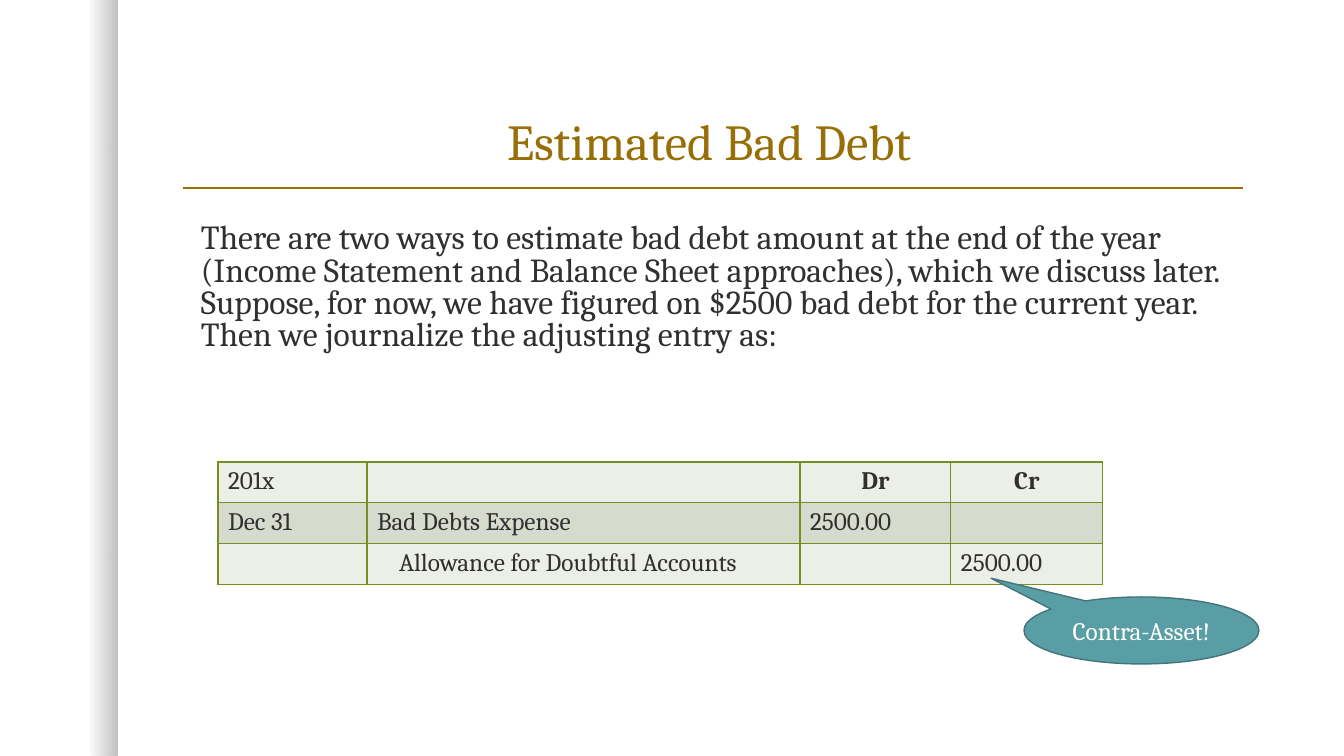
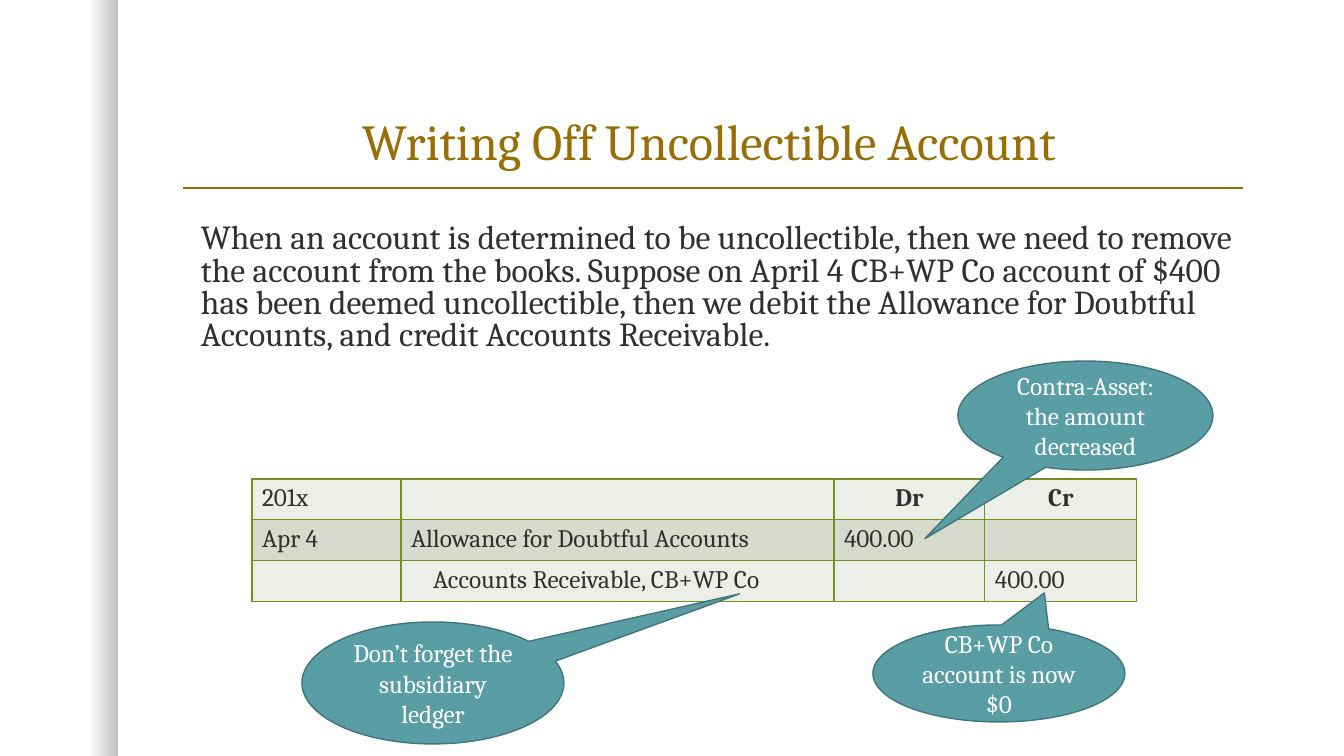
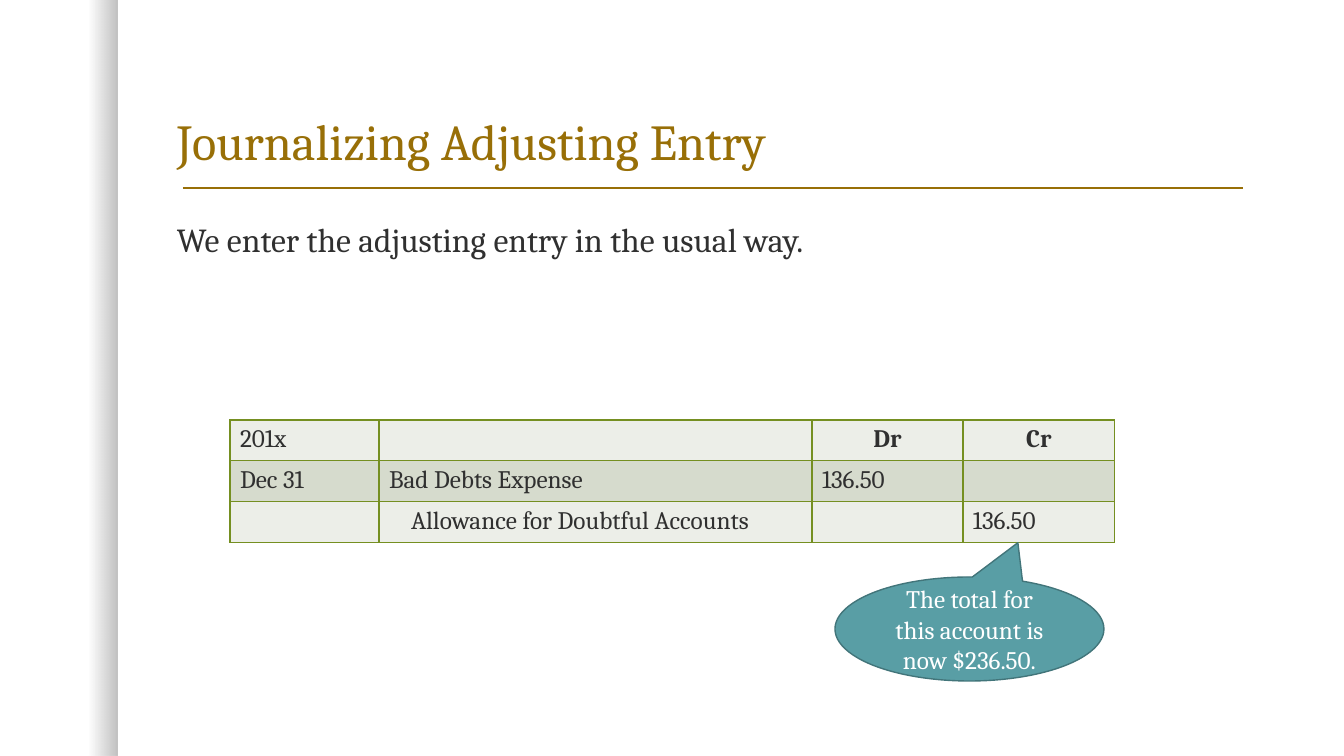
"""Build three slides on journal entries for bad debts."""
from dataclasses import dataclass

from lxml import etree
from pptx import Presentation
from pptx import util as u
from pptx.dml.color import RGBColor
from pptx.enum import shapes, text
from pptx.oxml import ns


@dataclass(frozen=True)
class Theme:
    font: str = "Cambria"
    gold: str = "986F07"
    ink: str = "303030"
    white: str = "FFFFFF"
    black: str = "000000"
    border: str = "758F21"
    row_fills: tuple = ("ECEEE8", "D6DBCD", "ECEEE8")
    bubble: str = "599EA5"
    bubble_line: str = "42757A"
    title_size: int = 36
    body_size: int = 24
    small_size: int = 18


theme = Theme()
color = RGBColor.from_string
PX = 914400 / 100.8
LEFT, CENTER = text.PP_ALIGN.LEFT, text.PP_ALIGN.CENTER
INDENT = 24
COLUMNS = (149, 433, 151, 152)
ROWS = (40, 41, 41)


def px(*lengths):
    return [u.Emu(round(length * PX)) for length in lengths]


def write(frame, words, size, tint, align=LEFT, bold=False, spacing=None):
    frame.word_wrap = True
    paragraph = frame.paragraphs[0]
    paragraph.alignment = align
    paragraph.line_spacing = spacing
    run = paragraph.add_run()
    run.text = words
    run.font.name = theme.font
    run.font.size = u.Pt(size)
    run.font.bold = bold
    run.font.color.rgb = color(tint)
    return paragraph


pages = [
    dict(
        title="Estimated Bad Debt", title_align=CENTER,
        body="There are two ways to estimate bad debt amount at the end of the year "
             "(Income Statement and Balance Sheet approaches), which we discuss later. "
             "Suppose, for now, we have figured on $2500 bad debt for the current year. "
             "Then we journalize the adjusting entry as:",
        first_indent=0, spacing=0.8, table_at=(218, 462),
        date="Dec 31", debit="Bad Debts Expense",
        credit="Allowance for Doubtful Accounts", amount="2500.00",
        callouts=[("Contra-Asset!", (1024, 597, 235, 67), (-0.64, -0.78))],
    ),
    dict(
        title="Writing Off Uncollectible Account", title_align=CENTER,
        body="When an account is determined to be uncollectible, then we need to remove "
             "the account from the books. Suppose on April 4 CB+WP Co account of $400 "
             "has been deemed uncollectible, then we debit the Allowance for Doubtful "
             "Accounts, and credit Accounts Receivable.",
        first_indent=0, spacing=0.8, table_at=(252, 479),
        date="Apr 4", debit="Allowance for Doubtful Accounts",
        credit="Accounts Receivable, CB+WP Co", amount="400.00",
        callouts=[
            ("Don’t forget the subsidiary ledger", (302, 622, 262, 122), (1.17, -0.73)),
            ("Contra-Asset: the amount decreased", (958, 361, 255, 109), (-0.63, 1.13)),
            ("CB+WP Co account is now $0", (873, 625, 252, 97), (0.18, -0.83)),
        ],
    ),
    dict(
        title="Journalizing Adjusting Entry", title_align=LEFT,
        body="We enter the adjusting entry in the usual way.",
        first_indent=-INDENT, spacing=0.9, table_at=(230, 420),
        date="Dec 31", debit="Bad Debts Expense",
        credit="Allowance for Doubtful Accounts", amount="136.50",
        callouts=[("The total for this account is now $236.50.",
                   (835, 577, 269, 104), (0.18, -0.83))],
    ),
]

presentation = Presentation()
presentation.slide_width, presentation.slide_height = px(1344, 756)

for page in pages:
    slide = presentation.slides.add_slide(presentation.slide_layouts[6])

    band = slide.shapes.add_shape(shapes.MSO_SHAPE.RECTANGLE, *px(0, 0, 117, 756))
    band.shadow.inherit = False
    band.line.fill.background()
    band.fill.gradient()
    band.fill.gradient_angle = 0
    for stop, position, opacity in zip(band.fill.gradient_stops, (0.75, 1), (0, 25)):
        stop.position = position
        stop.color.rgb = color(theme.black)
        tint = band._element.findall(".//" + ns.qn("a:srgbClr"))[-1]
        etree.SubElement(tint, ns.qn("a:alpha"), val=str(opacity * 1000))

    rule = slide.shapes.add_connector(
        shapes.MSO_CONNECTOR.STRAIGHT, *px(183, 188, 1243, 188))
    rule.line.color.rgb = color(theme.gold)
    rule.line.width = u.Pt(1)
    etree.SubElement(rule._element.spPr, ns.qn("a:effectLst"))

    title = slide.shapes.add_textbox(*px(167, 42, 1084, 134)).text_frame
    title.vertical_anchor = text.MSO_ANCHOR.BOTTOM
    write(title, page["title"], theme.title_size, theme.gold, page["title_align"],
          spacing=0.9)

    body = slide.shapes.add_textbox(*px(167, 219, 1084, 143)).text_frame
    paragraph = write(body, page["body"], theme.body_size, theme.ink,
                      spacing=page["spacing"])
    paragraph.space_before = u.Pt(18)
    margin, indent = px(INDENT, page["first_indent"])
    properties = paragraph._p.get_or_add_pPr()
    properties.set("marL", str(margin))
    properties.set("indent", str(indent))

    table = slide.shapes.add_table(
        len(ROWS), len(COLUMNS), *px(*page["table_at"], sum(COLUMNS), sum(ROWS))).table
    table.first_row = table.horz_banding = False
    for column, width in zip(table.columns, px(*COLUMNS)):
        column.width = width
    for row, height in zip(table.rows, px(*ROWS)):
        row.height = height
    entries = [
        ("201x", "", "Dr", "Cr"),
        (page["date"], page["debit"], page["amount"], ""),
        ("", page["credit"], "", page["amount"]),
    ]
    for r, entry in enumerate(entries):
        for c, words in enumerate(entry):
            cell = table.cell(r, c)
            for side in ("lnL", "lnR", "lnT", "lnB"):
                border = etree.SubElement(cell._tc.get_or_add_tcPr(), ns.qn("a:" + side),
                                          w=str(u.Pt(1)))
                fill = etree.SubElement(border, ns.qn("a:solidFill"))
                etree.SubElement(fill, ns.qn("a:srgbClr"), val=theme.border)
            cell.fill.solid()
            cell.fill.fore_color.rgb = color(theme.row_fills[r])
            if words:
                heading = r == 0 and c > 1
                paragraph = write(cell.text_frame, words, theme.small_size, theme.ink,
                                  CENTER if heading else LEFT, heading)
                if (r, c) == (2, 1):
                    paragraph._p.get_or_add_pPr().set("marL", str(px(22)[0]))

    for words, box, pointer in page["callouts"]:
        callout = slide.shapes.add_shape(shapes.MSO_SHAPE.OVAL_CALLOUT, *px(*box))
        callout.shadow.inherit = False
        callout.adjustments[0], callout.adjustments[1] = pointer
        callout.fill.solid()
        callout.fill.fore_color.rgb = color(theme.bubble)
        callout.line.color.rgb = color(theme.bubble_line)
        callout.line.width = u.Pt(1)
        callout.text_frame.vertical_anchor = text.MSO_ANCHOR.MIDDLE
        write(callout.text_frame, words, theme.small_size, theme.white, CENTER)

presentation.save("out.pptx")
